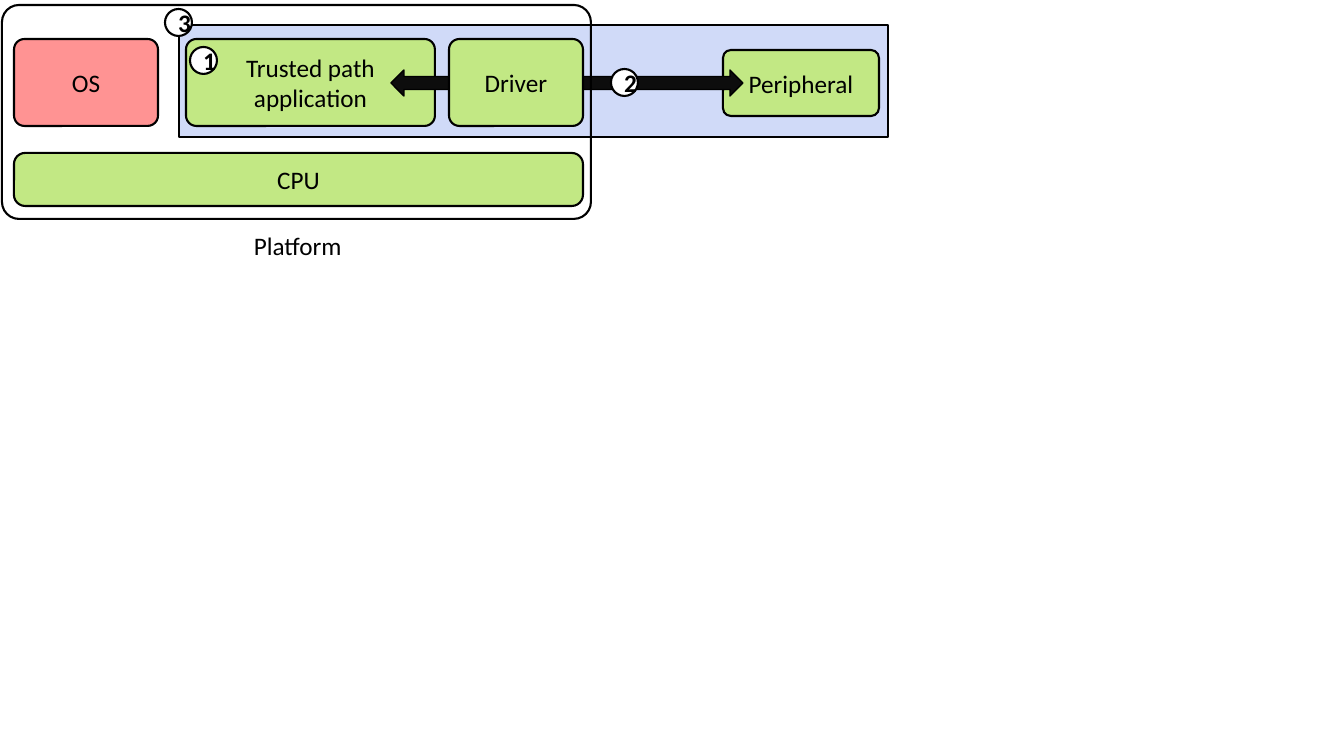
from dataclasses import dataclass
from pptx import Presentation
from pptx.dml.color import RGBColor as RGB
from pptx.enum.shapes import MSO_SHAPE as Preset
from pptx.enum.text import MSO_ANCHOR as Anchor, MSO_AUTO_SIZE as AutoSize, PP_ALIGN as Align
from pptx.util import Emu, Pt

PX = 914400 / 100.8


@dataclass(frozen=True)
class Theme:
    ink: RGB = RGB(0, 0, 0)
    trusted: RGB = RGB(0xC2, 0xE8, 0x84)
    untrusted: RGB = RGB(0xFF, 0x93, 0x93)
    zone: RGB = RGB(0xD0, 0xDA, 0xF8)
    channel: RGB = RGB(0x0D, 0x0D, 0x0D)
    badge: RGB = RGB(0xFF, 0xFF, 0xFF)
    face: str = "Calibri"
    body: Pt = Pt(18)
    thin: Pt = Pt(1)
    thick: Pt = Pt(1.5)


THEME = Theme()
BADGE_SIZE = 27


def px(*lengths):
    return [Emu(round(length * PX)) for length in lengths]


def apply(target, values):
    for name, value in values.items():
        setattr(target, name, value)


def write(frame, words, align, bold=False):
    paragraph = frame.paragraphs[0]
    paragraph.alignment = align
    run = paragraph.add_run()
    run.text = words
    apply(run.font, {"name": THEME.face, "size": THEME.body, "bold": bold})
    run.font.color.rgb = THEME.ink


def outline(slide, preset, place, fill=None, weight=THEME.thick):
    figure = slide.shapes.add_shape(preset, *px(*place))
    figure.shadow.inherit = False
    if fill is None:
        figure.fill.background()
    else:
        figure.fill.solid()
        figure.fill.fore_color.rgb = fill
    figure.line.color.rgb = THEME.ink
    figure.line.width = weight
    return figure


def component(slide, words, place, fill=THEME.trusted, corner=0.12):
    block = outline(slide, Preset.ROUNDED_RECTANGLE, place, fill)
    block.adjustments[0] = corner
    apply(block.text_frame, {"word_wrap": True, "vertical_anchor": Anchor.MIDDLE})
    write(block.text_frame, words, Align.CENTER)


def badge(slide, number, left, top):
    disc = outline(slide, Preset.OVAL, (left, top, BADGE_SIZE, BADGE_SIZE), THEME.badge)
    apply(disc.text_frame, {"word_wrap": True, "vertical_anchor": Anchor.MIDDLE})
    write(disc.text_frame, str(number), Align.CENTER, bold=True)


def caption(slide, words, place):
    label = slide.shapes.add_textbox(*px(*place))
    apply(label.text_frame, {"word_wrap": False, "auto_size": AutoSize.SHAPE_TO_FIT_TEXT})
    write(label.text_frame, words, Align.LEFT)


def main():
    deck = Presentation()
    deck.slide_width, deck.slide_height = px(1344, 756)
    slide = deck.slides.add_slide(deck.slide_layouts[6])

    component(slide, "CPU", (14, 153, 569, 53), corner=0.21)
    component(slide, "OS", (14, 39, 144, 87), THEME.untrusted)
    outline(slide, Preset.RECTANGLE, (179, 25, 709, 112), THEME.zone, THEME.thin)
    component(slide, "Trusted path application", (186, 39, 249, 87))
    component(slide, "Peripheral", (723, 50, 156, 66))
    outline(slide, Preset.LEFT_RIGHT_ARROW, (391, 70, 352, 26), THEME.channel, THEME.thin)
    platform = outline(slide, Preset.ROUNDED_RECTANGLE, (2, 5, 589, 214))
    platform.adjustments[0] = 0.08
    component(slide, "Driver", (449, 39, 134, 87))
    badge(slide, 1, 190, 47)
    badge(slide, 2, 611, 69)
    caption(slide, "Platform", (244, 225, 110, 40))
    badge(slide, 3, 165, 9)

    deck.save("out.pptx")


if __name__ == "__main__":
    main()
